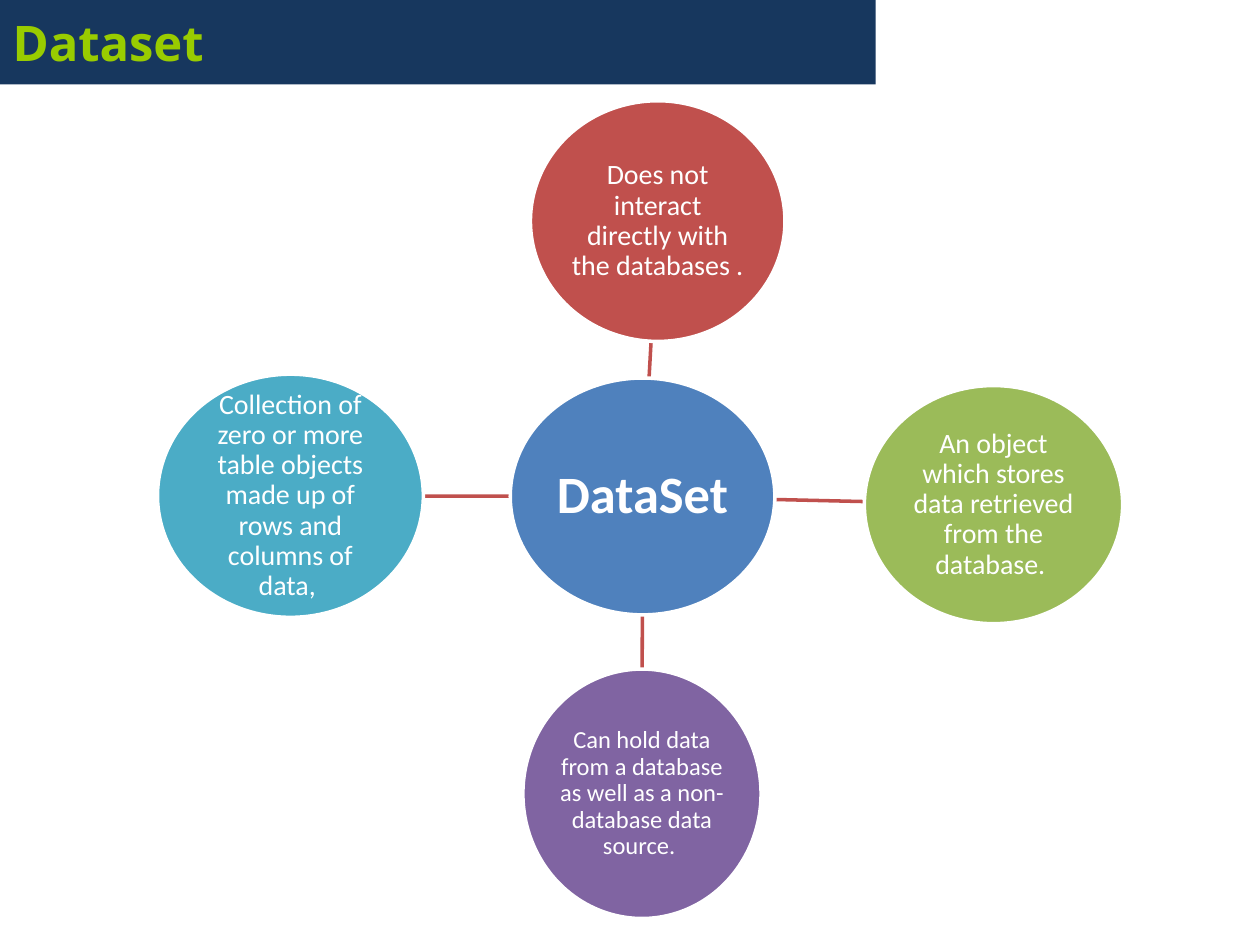
from math import hypot

from lxml.etree import SubElement
from pptx import Presentation
from pptx.dml.color import RGBColor
from pptx.enum.shapes import MSO_CONNECTOR, MSO_SHAPE
from pptx.enum.text import MSO_ANCHOR, PP_ALIGN
from pptx.oxml.ns import qn
from pptx.util import Inches, Pt

COLORS = {
    "banner": "17375E", "title": "99CC00", "white": "FFFFFF", "spoke": "C0504D",
    "hub": "4F81BD", "top": "C0504D", "right": "9BBB59",
    "bottom": "8064A2", "left": "4BACC6",
}
WIDTH, HEIGHT = Inches(10), Inches(7.5)
COL, ROW = WIDTH / 100, HEIGHT / 75

BANNER = (0, 0, 69.5, 6.7)
HUB = ("hub", (40.5, 30, 21, 18.8), "DataSet", 30)
SATELLITES = [
    ("top", (42.1, 8, 20.2, 19.1), "Does not interact directly with the databases .", 16),
    ("right", (68.6, 30.6, 20.5, 18.9),
     "An object which stores data retrieved from the database. ", 16),
    ("bottom", (41.5, 53.1, 18.9, 19.8),
     "Can hold data from a database as well as a non-database data source. ", 14),
    ("left", (12.5, 29.7, 21.1, 19.3),
     "Collection of zero or more table objects made up of rows and columns of data, ", 16),
]


def rgb(name):
    """Return the named colour."""
    return RGBColor.from_string(COLORS[name])


def to_emu(box):
    """Convert a box in grid columns and rows to slide lengths."""
    x, y, w, h = box
    return int(x * COL), int(y * ROW), int(w * COL), int(h * ROW)


def add_run(p, text, size, font, color, bold=False):
    """Add one formatted run to a paragraph."""
    r = p.add_run()
    r.text = text
    r.font.size, r.font.name, r.font.bold = Pt(size), font, bold
    r.font.color.rgb = rgb(color)


def add_title(s, box, text):
    """Format the title placeholder as a banner filling the box."""
    sp = s.shapes.title
    sp.left, sp.top, sp.width, sp.height = to_emu(box)
    sp.fill.solid()
    sp.fill.fore_color.rgb = rgb("banner")
    tf = sp.text_frame
    tf.vertical_anchor = MSO_ANCHOR.MIDDLE
    p = tf.paragraphs[0]
    p.alignment = PP_ALIGN.LEFT
    add_run(p, text, 28, "Open Sans", "title", True)


def add_circle(s, color, box, text, size, bold=False):
    """Add a filled ellipse with centred text in the box."""
    sp = s.shapes.add_shape(MSO_SHAPE.OVAL, *to_emu(box))
    sp.shadow.inherit = False
    sp.fill.solid()
    sp.fill.fore_color.rgb = rgb(color)
    sp.line.color.rgb = rgb("white")
    sp.line.width = Pt(2)
    tf = sp.text_frame
    tf.word_wrap = True
    tf.vertical_anchor = MSO_ANCHOR.MIDDLE
    tf.margin_left = tf.margin_right = tf.margin_top = tf.margin_bottom = Inches(0.01)
    p = tf.paragraphs[0]
    p.alignment = PP_ALIGN.CENTER
    p.line_spacing = 0.9
    add_run(p, text, size, "Calibri", "white", bold)


def edge_point(box, other):
    """Return where the line between two ellipse centres leaves the first one."""
    x, y, w, h = to_emu(box)
    ox, oy, ow, oh = to_emu(other)
    cx, cy = x + w / 2, y + h / 2
    dx, dy = ox + ow / 2 - cx, oy + oh / 2 - cy
    share = 1 / hypot(dx / (w / 2), dy / (h / 2))
    return int(cx + dx * share), int(cy + dy * share)


def add_spoke(s, start, end):
    """Join two ellipses edge to edge with a straight line."""
    cxn = s.shapes.add_connector(
        MSO_CONNECTOR.STRAIGHT, *edge_point(start, end), *edge_point(end, start))
    cxn.line.color.rgb = rgb("spoke")
    cxn.line.width = Pt(2)
    SubElement(cxn._element.spPr, qn("a:effectLst"))


def add_radial(s, hub, satellites):
    """Draw the hub with its spokes and satellites."""
    for satellite in satellites:
        add_spoke(s, hub[1], satellite[1])
    add_circle(s, *hub, bold=True)
    for satellite in satellites:
        add_circle(s, *satellite)


def main():
    """Build and save the slide."""
    prs = Presentation()
    prs.slide_width, prs.slide_height = WIDTH, HEIGHT
    s = prs.slides.add_slide(prs.slide_layouts[5])
    add_title(s, BANNER, "Dataset")
    add_radial(s, HUB, SATELLITES)
    prs.save("out.pptx")


if __name__ == "__main__":
    main()
